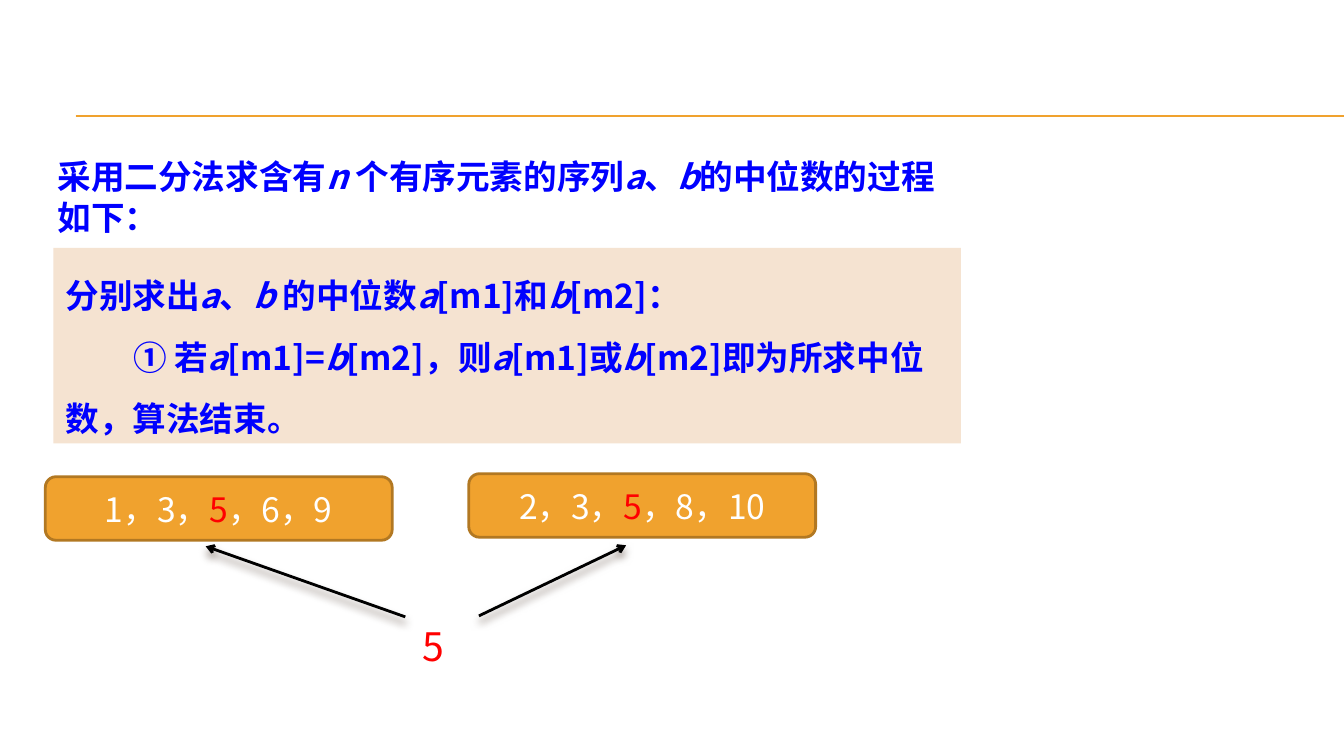
from dataclasses import dataclass

from lxml import etree
from pptx import Presentation
from pptx.dml.color import RGBColor
from pptx.enum.shapes import MSO_CONNECTOR as Link, MSO_SHAPE as Shape
from pptx.enum.text import MSO_ANCHOR as Anchor, PP_ALIGN as Align
from pptx.oxml import parse_xml
from pptx.oxml.ns import nsdecls, qn
from pptx.util import Pt

PX = 9144  # 100 px to the inch
FONT = "Noto Sans CJK SC"
LINE_HEIGHT = 1.22  # of the font size

WHITE = RGBColor(0xFF, 0xFF, 0xFF)
BLACK = RGBColor(0x00, 0x00, 0x00)
BLUE = RGBColor(0x00, 0x00, 0xFF)
RED = RGBColor(0xFF, 0x00, 0x00)
ORANGE = RGBColor(0xF0, 0xA2, 0x2E)
BROWN = RGBColor(0xB2, 0x78, 0x22)
BEIGE = RGBColor(0xF5, 0xE3, 0xD1)

SHADOW = (
    f'<a:effectLst {nsdecls("a")}>'
    '<a:outerShdw blurRad="76200" dist="50800" dir="5400000" rotWithShape="0">'
    '<a:srgbClr val="4E3B30"><a:alpha val="60000"/></a:srgbClr>'
    "</a:outerShdw></a:effectLst>"
)
NO_EFFECT = f'<a:effectLst {nsdecls("a")}/>'


@dataclass
class Para:
    """A paragraph; the parts between asterisks are emphasised."""
    text: str
    color: RGBColor
    size: int = 24
    bold: bool = False
    accent: RGBColor | None = None  # italic when there is none
    spacing: float = 1.0
    indent: int = 0
    align: Align = Align.LEFT


@dataclass
class Sequence:
    left: int
    top: int
    text: str


@dataclass
class Line:
    start: tuple[int, int]
    end: tuple[int, int]
    color: RGBColor
    width: float
    arrow: bool = False


def add_para(p, para: Para) -> None:
    p.alignment = para.align
    p.line_spacing = Pt(round(para.size * LINE_HEIGHT * para.spacing, 1))
    pPr = p._p.get_or_add_pPr()
    if para.indent:
        pPr.set("indent", str(para.indent * PX))
    font = p.font
    font.size, font.name, font.bold = Pt(para.size), FONT, para.bold
    font.color.rgb = para.color
    etree.SubElement(pPr.find(qn("a:defRPr")), qn("a:ea"), typeface=FONT)
    for i, part in enumerate(para.text.split("*")):
        if not part:
            continue
        r = p.add_run()
        r.text = part
        if i % 2 and para.accent:
            r.font.color.rgb = para.accent
        elif i % 2:
            r.font.italic = True


def fill_text(sp, paras: list[Para], anchor: Anchor = Anchor.TOP) -> None:
    tf = sp.text_frame
    tf.word_wrap = True
    tf.vertical_anchor = anchor
    tf.margin_left = tf.margin_right = 12 * PX
    tf.margin_top = tf.margin_bottom = 6 * PX
    for i, para in enumerate(paras):
        add_para(tf.add_paragraph() if i else tf.paragraphs[0], para)


def add_text(s, box: tuple[int, ...], paras: list[Para]) -> None:
    fill_text(s.shapes.add_textbox(*(v * PX for v in box)), paras)


def add_box(s, kind: Shape, box: tuple[int, ...], fill: RGBColor,
            border: RGBColor | None = None):
    sp = s.shapes.add_shape(kind, *(v * PX for v in box))
    sp.shadow.inherit = False
    sp.fill.solid()
    sp.fill.fore_color.rgb = fill
    if border is None:
        sp.line.fill.background()
    else:
        sp.line.color.rgb = border
        sp.line.width = Pt(2)
    return sp


def add_line(s, line: Line) -> None:
    ends = (v * PX for v in line.start + line.end)
    c = s.shapes.add_connector(Link.STRAIGHT, *ends)
    c.line.color.rgb = line.color
    c.line.width = Pt(line.width)
    if line.arrow:
        etree.SubElement(c.line._get_or_add_ln(), qn("a:tailEnd"), type="arrow")
    c._element.spPr.append(parse_xml(SHADOW if line.arrow else NO_EFFECT))


def main() -> None:
    prs = Presentation()
    prs.slide_width, prs.slide_height = 1333 * PX, 750 * PX
    s = prs.slides.add_slide(prs.slide_layouts[6])

    # Double rule under the title area
    for y in (115, 116):
        add_line(s, Line((75, y), (1333, y), ORANGE, 0.75))

    # Introduction and first case
    intro = "采用二分法求含有*n *个有序元素的序列*a*、*b*的中位数的过程如下："
    add_text(s, (45, 148, 902, 93), [Para(intro, BLUE, bold=True)])
    case = add_box(s, Shape.RECTANGLE, (53, 246, 900, 194), BEIGE)
    fill_text(case, [
        Para("分别求出*a*、*b *的中位数*a*[m1]和*b*[m2]：",
             BLUE, bold=True, spacing=1.5),
        Para("① 若*a*[m1]=*b*[m2]，则*a*[m1]或*b*[m2]即为所求中位数，算法结束。",
             BLUE, bold=True, spacing=1.5, indent=67),
    ])

    # The two sequences, medians in red
    for seq in (Sequence(45, 473, "1，3，*5*，6，9"),
                Sequence(465, 470, "2，3，*5*，8，10")):
        sp = add_box(s, Shape.ROUNDED_RECTANGLE, (seq.left, seq.top, 344, 63),
                     ORANGE, BROWN)
        fill_text(sp, [Para(seq.text, WHITE, accent=RED, align=Align.CENTER)],
                  Anchor.MIDDLE)

    # Common median and its arrows
    add_text(s, (407, 611, 62, 59), [Para("5", RED, size=28)])
    for start, end in (((475, 611), (621, 541)), ((402, 612), (204, 542))):
        add_line(s, Line(start, end, BLACK, 2, arrow=True))

    prs.save("out.pptx")


if __name__ == "__main__":
    main()
